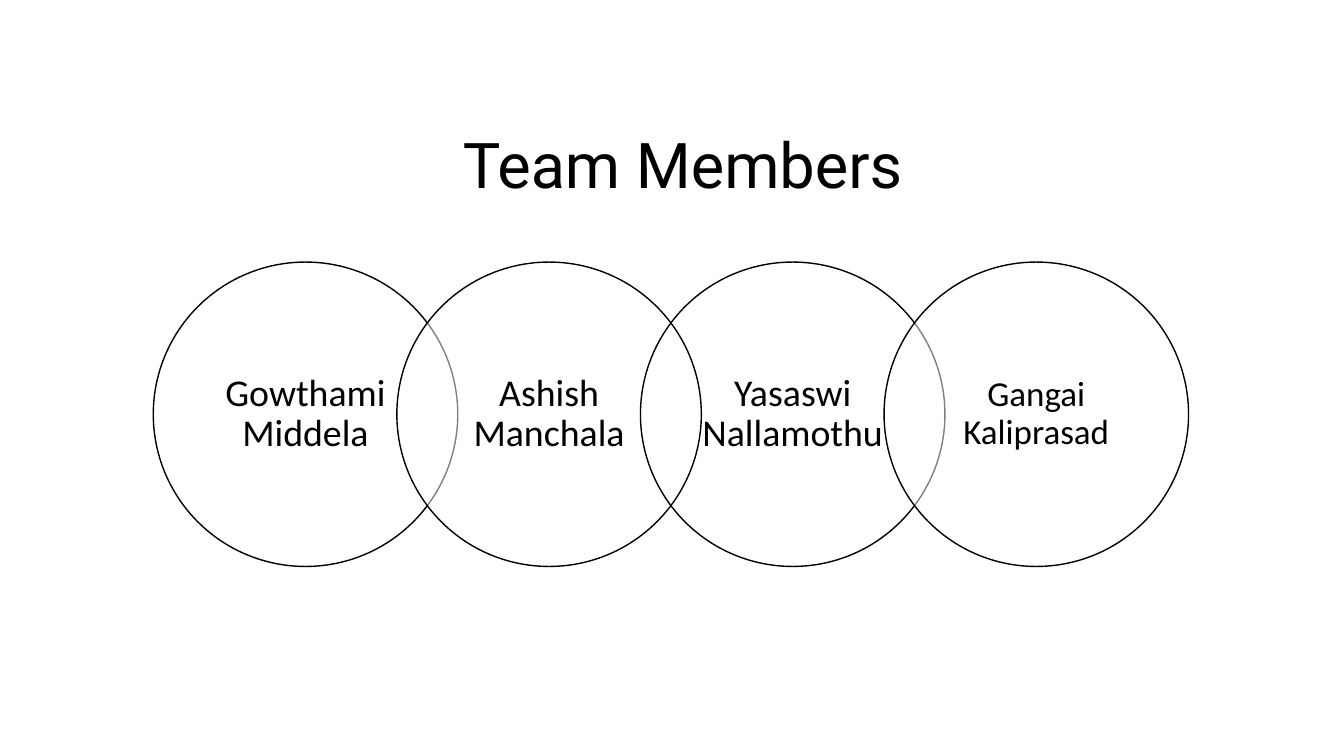
import pptx
import pptx.dml.color
import pptx.enum.shapes
import pptx.enum.text
import pptx.oxml
import pptx.oxml.ns
import pptx.util
from pptx.util import Inches

THEME = {
    "ink": pptx.dml.color.RGBColor(0, 0, 0),
    "paper": pptx.dml.color.RGBColor(255, 255, 255),
    "title_font": "Roboto",
    "name_font": "Calibri",
    "title_size": 45,
    "name_size": 27,
    "long_name_size": 25,
    "outline": 1,
}


def add_text(page, place, text, frame_format, para_format, font_format):
    box = page.shapes.add_textbox(*[Inches(length) for length in place])
    para = box.text_frame.paragraphs[0]
    span = para.add_run()
    span.text = text
    span.font.color.rgb = THEME["ink"]
    for target, values in (
        (box.text_frame, frame_format),
        (para, para_format),
        (span.font, font_format),
    ):
        for name, value in values.items():
            setattr(target, name, value)


deck = pptx.Presentation()
deck.slide_width = Inches(13.33)
deck.slide_height = Inches(7.5)
page = deck.slides.add_slide(deck.slide_layouts[6])

add_text(
    page,
    (3.97, 1.2, 5.62, 0.86),
    "Team Members",
    {"word_wrap": True, "margin_left": Inches(0.62)},
    {"alignment": pptx.enum.text.PP_ALIGN.LEFT},
    {"name": THEME["title_font"], "size": pptx.util.Pt(THEME["title_size"])},
)

members = [
    ("Gowthami Middela", THEME["name_size"], True),
    ("Ashish Manchala", THEME["name_size"], True),
    ("Yasaswi Nallamothu", THEME["name_size"], False),
    ("Gangai Kaliprasad", THEME["long_name_size"], True),
]
first_left, top, diameter = 1.52, 2.6, 3.02
step = diameter * 0.8
name_width = 2.14
name_inset = (diameter - name_width) / 2
name_frame = {
    "word_wrap": True,
    "vertical_anchor": pptx.enum.text.MSO_ANCHOR.MIDDLE,
    "margin_left": Inches(0.16),
    "margin_right": Inches(0.16),
    "margin_top": Inches(0.04),
    "margin_bottom": Inches(0.04),
}
name_para = {"alignment": pptx.enum.text.PP_ALIGN.CENTER, "line_spacing": 0.9}

for index, (member, size, filled) in enumerate(members):
    left = first_left + index * step
    circle = page.shapes.add_shape(
        pptx.enum.shapes.MSO_SHAPE.OVAL,
        Inches(left), Inches(top), Inches(diameter), Inches(diameter),
    )
    circle.shadow.inherit = False
    circle.line.color.rgb = THEME["ink"]
    circle.line.width = pptx.util.Pt(THEME["outline"])
    if filled:
        circle.fill.solid()
        circle.fill.fore_color.rgb = THEME["paper"]
        color = circle.fill._xPr.find(".//" + pptx.oxml.ns.qn("a:srgbClr"))
        alpha = pptx.oxml.parse_xml(
            "<a:alpha %s val='50000'/>" % pptx.oxml.ns.nsdecls("a")
        )
        color.append(alpha)
    else:
        circle.fill.background()
    add_text(
        page,
        (left + name_inset, top + name_inset, name_width, name_width),
        member,
        name_frame,
        name_para,
        {"name": THEME["name_font"], "size": pptx.util.Pt(size)},
    )

deck.save("out.pptx")
